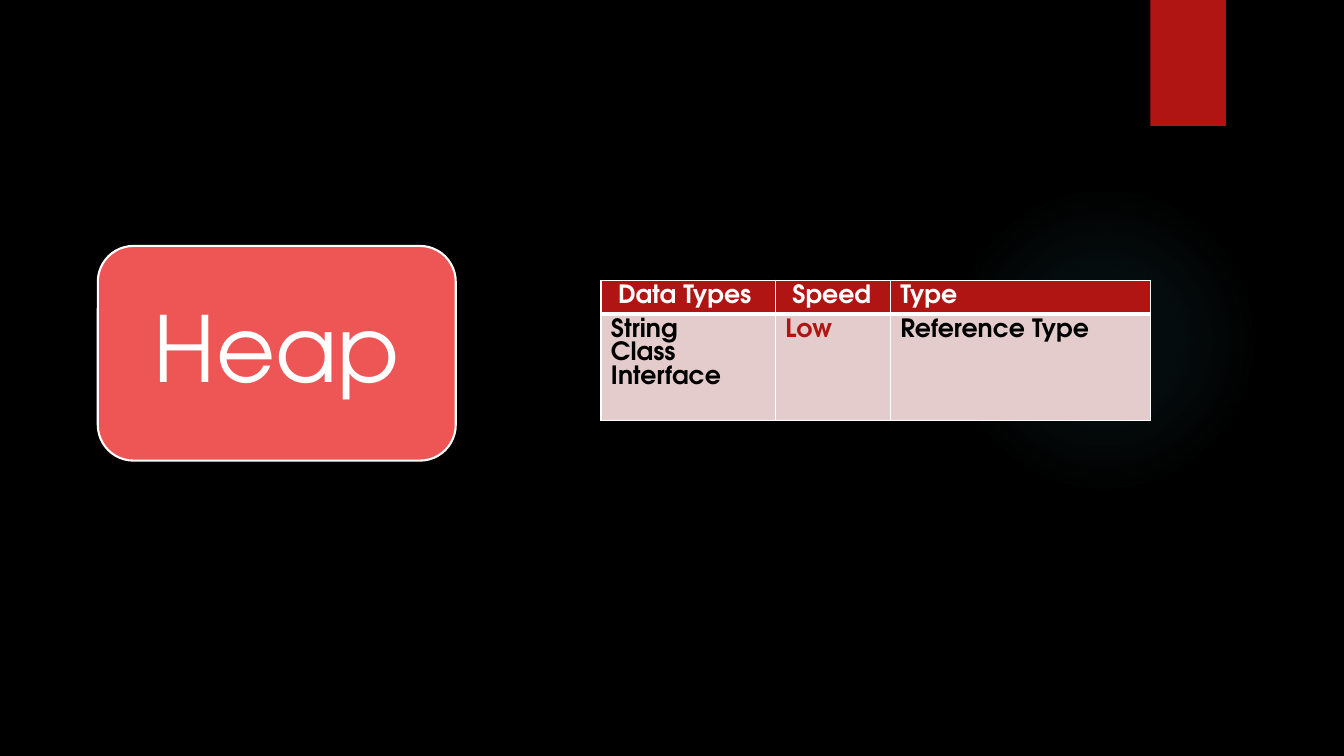
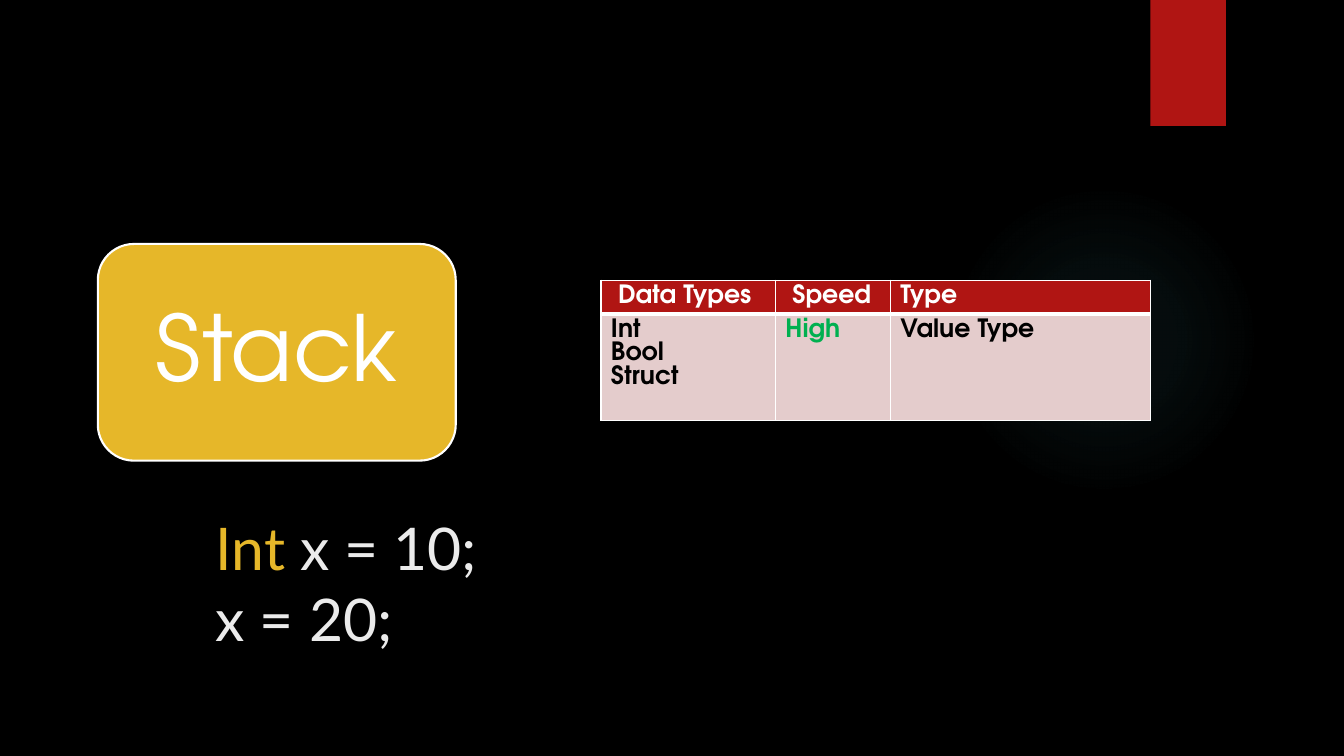
import pptx
import pptx.dml.color
import pptx.enum.shapes
import pptx.enum.text
import pptx.oxml
import pptx.oxml.ns
import pptx.util
from pptx.util import Inches

RED, GOLD, CORAL, GREEN = "B01513", "E6B729", "ED5654", "00B050"
BLACK, WHITE, PALE, PINK, TEAL = "000000", "FFFFFF", "EBEBEB", "E4CCCC", "50B9C1"
HEADING_FONT, CODE_FONT = "TeX Gyre Adventor", "Lato"
SHAPES = pptx.enum.shapes.MSO_SHAPE
NAMESPACE = pptx.oxml.ns.nsdecls("a")


def rgb(value):
    return pptx.dml.color.RGBColor.from_string(value)


def add_run(para, text, size, font, color, bold=False):
    span = para.add_run()
    span.text = text
    span.font.size = pptx.util.Pt(size)
    span.font.name = font
    span.font.bold = bold
    span.font.color.rgb = rgb(color)


HEADERS = [" Data Types", " Speed", "Type"]
COLUMN_WIDTHS = [1.73, 1.14, 2.58]
ROW_HEIGHTS = [0.32, 1.06]
# Border widths in points for each table row: left, right, top, bottom
BORDERS = [
    {"lnL": 1, "lnR": 1, "lnT": 1, "lnB": 3},
    {"lnL": 1, "lnR": 1, "lnT": 3, "lnB": 1},
]
GLOW_STOPS = [(0, 7), (36, 6), (69, 0)]

# Name, fill, top and height of the box, data types, speed, speed colour, type, code lines
MEMORY_AREAS = [
    ("Heap", CORAL, 2.44, 2.13, ["String", "Class", "Interface"],
     "Low", RED, "Reference Type", []),
    ("Stack", GOLD, 2.42, 2.15, ["Int", "Bool", "Struct"],
     "High", GREEN, "Value Type",
     [[("Int", GOLD), (" x = 10;", PALE)], [("x = 20;", PALE)]]),
]

deck = pptx.Presentation()
deck.slide_width = Inches(13.33)
deck.slide_height = Inches(7.5)
background = deck.slide_master.background.fill
background.solid()
background.fore_color.rgb = rgb(BLACK)

for name, color, top, height, data_types, speed, speed_color, kind, code in MEMORY_AREAS:
    page = deck.slides.add_slide(deck.slide_layouts[6])

    # Soft glow behind the table
    glow = page.shapes.add_shape(
        SHAPES.OVAL, Inches(9.41), Inches(1.83), Inches(3.08), Inches(3.08))
    glow.shadow.inherit = False
    glow.line.fill.background()
    stops = "".join(
        f'<a:gs pos="{position * 1000}"><a:srgbClr val="{TEAL}">'
        f'<a:alpha val="{opacity * 1000}"/></a:srgbClr></a:gs>'
        for position, opacity in GLOW_STOPS)
    gradient = pptx.oxml.parse_xml(
        f'<a:gradFill {NAMESPACE}><a:gsLst>{stops}</a:gsLst><a:path path="circle">'
        '<a:fillToRect l="50000" t="50000" r="50000" b="50000"/></a:path></a:gradFill>')
    glow.element.spPr.find(pptx.oxml.ns.qn("a:prstGeom")).addnext(gradient)

    # Red tab at the top edge
    tab = page.shapes.add_shape(
        SHAPES.RECTANGLE, Inches(11.41), 0, Inches(0.75), Inches(1.25))
    tab.shadow.inherit = False
    tab.fill.solid()
    tab.fill.fore_color.rgb = rgb(RED)
    tab.line.fill.background()

    # Named memory area
    box = page.shapes.add_shape(
        SHAPES.FLOWCHART_ALTERNATE_PROCESS,
        Inches(0.97), Inches(top), Inches(3.55), Inches(height))
    box.shadow.inherit = False
    box.fill.solid()
    box.fill.fore_color.rgb = rgb(color)
    box.line.color.rgb = rgb(WHITE)
    box.line.width = pptx.util.Pt(1.5)
    frame = box.text_frame
    frame.word_wrap = True
    frame.vertical_anchor = pptx.enum.text.MSO_ANCHOR.MIDDLE
    para = frame.paragraphs[0]
    para.alignment = pptx.enum.text.PP_ALIGN.CENTER
    para.line_spacing = 0.9
    add_run(para, name, 65, HEADING_FONT, WHITE)

    # Table of properties
    table = page.shapes.add_table(
        2, 3, Inches(5.96), Inches(2.78),
        Inches(sum(COLUMN_WIDTHS)), Inches(sum(ROW_HEIGHTS))).table
    for column, width in zip(table.columns, COLUMN_WIDTHS):
        column.width = Inches(width)
    header_cells = [([text], WHITE) for text in HEADERS]
    body_cells = [(data_types, BLACK), ([speed], speed_color), ([kind], BLACK)]
    for row, cells in enumerate([header_cells, body_cells]):
        table.rows[row].height = Inches(ROW_HEIGHTS[row])
        for column, (lines, text_color) in enumerate(cells):
            cell = table.cell(row, column)
            for index, line in enumerate(lines):
                frame = cell.text_frame
                para = frame.add_paragraph() if index else frame.paragraphs[0]
                add_run(para, line, 18, HEADING_FONT, text_color, bold=True)
            properties = cell._tc.get_or_add_tcPr()
            for side, points in BORDERS[row].items():
                properties.append(pptx.oxml.parse_xml(
                    f'<a:{side} {NAMESPACE} w="{points * 12700}"><a:solidFill>'
                    f'<a:srgbClr val="{WHITE}"/></a:solidFill></a:{side}>'))
            cell.fill.solid()
            cell.fill.fore_color.rgb = rgb([RED, PINK][row])

    # Code sample
    if code:
        sample = page.shapes.add_textbox(
            Inches(2.04), Inches(5.03), Inches(9.65), Inches(1.81))
        frame = sample.text_frame
        frame.word_wrap = True
        for index, spans in enumerate(code):
            para = frame.add_paragraph() if index else frame.paragraphs[0]
            for text, text_color in spans:
                add_run(para, text, 42, CODE_FONT, text_color)

deck.save("out.pptx")
